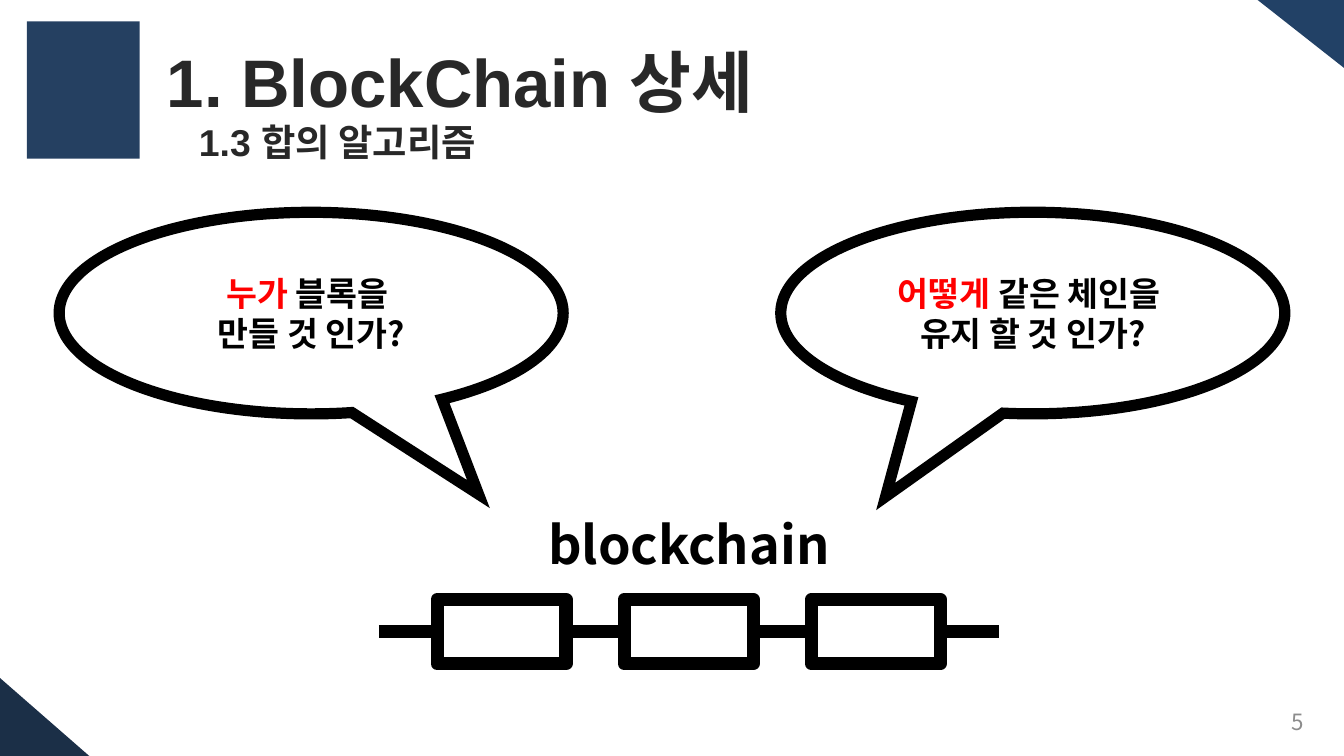
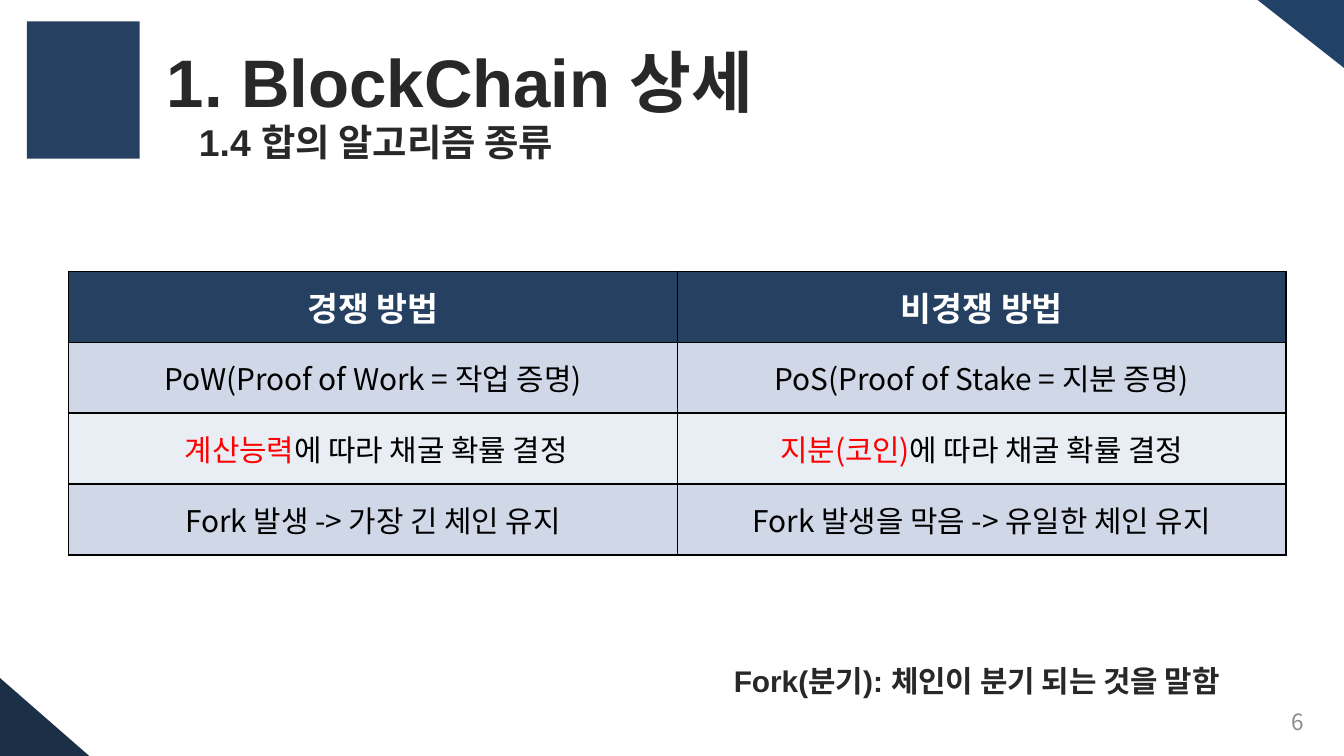
from lxml import etree
from pptx import Presentation
from pptx.dml.color import RGBColor
from pptx.enum.shapes import MSO_CONNECTOR, MSO_SHAPE
from pptx.enum.text import MSO_ANCHOR, MSO_AUTO_SIZE, PP_ALIGN
from pptx.oxml.ns import qn
from pptx.util import Inches, Pt

STRAIGHT = MSO_CONNECTOR.STRAIGHT
RECT, CALLOUT = MSO_SHAPE.RECTANGLE, MSO_SHAPE.OVAL_CALLOUT
MIDDLE, NO_FIT = MSO_ANCHOR.MIDDLE, MSO_AUTO_SIZE.NONE
LEFT, CENTER, RIGHT = PP_ALIGN.LEFT, PP_ALIGN.CENTER, PP_ALIGN.RIGHT

COLS, ROWS = 100, 56.25
CELL = Inches(10) / COLS
SANS, KOREAN = "Arial", "Noto Sans CJK KR"
BLACK, WHITE, RED = "000000", "FFFFFF", "FF0000"
NAVY, INK, GREY = "254061", "282828", "8C8C8C"
BAND_FILLS = ("D0D8E8", "E9EDF4")
HEADING = {"align": LEFT, "spacing": 1.5, "color": INK}
CORNERS = (
    ("17375E", ((92.3, -1), (101.2, -1), (101.2, 6))),
    ("0F243E", ((7.5, 57), (-1.2, 57), (-1.2, 49.4))),
)


def rgb(code):
    return RGBColor.from_string(code)


def emu(*cells):
    return [round(c * CELL) for c in cells]


def assign(obj, values):
    for name, value in values.items():
        setattr(obj, name, value)


def write(tf, paragraphs, size, font=KOREAN, bold=True, color=BLACK,
          align=CENTER, spacing=1.0):
    for i, runs in enumerate(paragraphs):
        p = tf.add_paragraph() if i else tf.paragraphs[0]
        assign(p, {"alignment": align, "line_spacing": spacing,
                   "space_before": Pt(0)})
        for text, run_color in runs:
            r = p.add_run()
            r.text = text
            assign(r.font, {"size": Pt(size), "bold": bold, "name": font})
            r.font.color.rgb = rgb(run_color or color)
            ea = etree.SubElement(r.font._element, qn("a:ea"))
            ea.set("typeface", KOREAN)


def frame(sp, inset=0.1, **margins):
    tf = sp.text_frame
    values = {"word_wrap": True, "auto_size": NO_FIT,
              "vertical_anchor": MIDDLE,
              "margin_left": Inches(inset), "margin_right": Inches(inset)}
    assign(tf, values | margins)
    return tf


def add_text(s, box, text, size, inset=0.1, **fmt):
    sp = s.shapes.add_textbox(*emu(*box))
    write(frame(sp, inset), [[(text, None)]], size, **fmt)


def fill_placeholder(sp, box, text, size, inset=0.1):
    assign(sp, dict(zip(("left", "top", "width", "height"), emu(*box))))
    write(frame(sp, inset), [[(text, None)]], size, font=SANS, **HEADING)


def outline(sp, width, join):
    sp.line.color.rgb = rgb(BLACK)
    sp.line.width = Pt(width)
    mark = etree.SubElement(sp.line._get_or_add_ln(), qn("a:" + join))
    if join == "miter":
        mark.set("lim", "800000")


def add_shape(shapes, kind, box, fill=None):
    sp = shapes.add_shape(kind, *emu(*box))
    sp.shadow.inherit = False
    if fill:
        sp.fill.solid()
        sp.fill.fore_color.rgb = rgb(fill)
        sp.line.fill.background()
    else:
        sp.fill.background()
    return sp


def corners(s):
    for color, points in CORNERS:
        start, *rest = [emu(*point) for point in points]
        builder = s.shapes.build_freeform(*start)
        builder.add_line_segments(rest, close=True)
        sp = builder.convert_to_shape()
        sp.shadow.inherit = False
        sp.line.fill.background()
        sp.fill.solid()
        sp.fill.fore_color.rgb = rgb(color)
        srgb = sp._element.spPr.find(".//" + qn("a:srgbClr"))
        etree.SubElement(srgb, qn("a:alpha")).set("val", "95000")


def header(s, box, subtitle):
    x, y, w, h = box
    add_shape(s.shapes, RECT, (x, y + 0.8, 8.4, h - 0.8), NAVY)
    fill_placeholder(s.shapes.title, (x + 9.4, y, w - 9.4, 7.4),
                     "1. BlockChain 상세", 36)
    fill_placeholder(s.placeholders[1], (x + 10.3, y + 5.2, w - 9.4, 7.4),
                     subtitle, 20, 0.25)


def base_slide(prs, subtitle, number):
    s = prs.slides.add_slide(prs.slide_layouts[0])
    corners(s)
    header(s, (2, 0.8, 89, 11), subtitle)
    add_text(s, (74.7, 52.2, 23.3, 3), number, 12, bold=False,
             color=GREY, align=RIGHT)
    return s


def callout(s, box, tip, paragraphs):
    sp = add_shape(s.shapes, CALLOUT, box)
    sp.adjustments[0], sp.adjustments[1] = tip
    outline(sp, 6, "miter")
    tf = frame(sp, 0.02, margin_top=Inches(0.02), margin_bottom=Inches(0.02))
    write(tf, paragraphs, 18)


def chain(s, box, count=3):
    x, y, w, h = box
    block_w, block_h = 9.6, 4.8
    top = y + h - block_h
    gap = (w - count * block_w) / (count + 1)
    add_text(s, (x + 10.8, y, 24.5, 5.7), "blockchain", 28)
    shapes = s.shapes.add_group_shape().shapes
    blocks = []
    for i in range(count):
        left = x + gap + i * (block_w + gap)
        sp = add_shape(shapes, RECT, (left, top, block_w, block_h))
        outline(sp, 7, "round")
        blocks.append(sp)
    mid = top + block_h / 2
    for i in range(count + 1):
        left = x + i * (block_w + gap)
        link = shapes.add_connector(STRAIGHT, *emu(left, mid, left + gap, mid))
        if i > 0:
            link.begin_connect(blocks[i - 1], 3)
        if i < count:
            link.end_connect(blocks[i], 1)
        outline(link, 7, "round")
        etree.SubElement(link._element.spPr, qn("a:effectLst"))


def border(cell):
    tcPr = cell._tc.get_or_add_tcPr()
    for i, side in enumerate("LRTB"):
        ln = etree.Element(qn("a:ln" + side), w=str(Pt(1)))
        fill = etree.SubElement(ln, qn("a:solidFill"))
        etree.SubElement(fill, qn("a:srgbClr")).set("val", BLACK)
        tcPr.insert(i, ln)


def comparison(s, box, rows):
    table = s.shapes.add_table(len(rows), len(rows[0]), *emu(*box)).table
    for i, row in enumerate(rows):
        for j, runs in enumerate(row):
            cell = table.cell(i, j)
            cell.vertical_anchor = MIDDLE
            cell.fill.solid()
            cell.fill.fore_color.rgb = rgb(BAND_FILLS[(i - 1) % 2] if i else NAVY)
            border(cell)
            write(cell.text_frame, [runs], 16 if i else 18, bold=i == 0,
                  color=BLACK if i else WHITE)


def consensus_slide(prs):
    s = base_slide(prs, "1.3 합의 알고리즘", "5")
    chain(s, (28.2, 37.6, 46.1, 11.8))
    callout(s, (58.1, 15.8, 37.5, 15), (-0.292, 0.91),
            [[("어떻게", RED), (" 같은 체인을 ", None)],
             [("유지 할 것 인가?", None)]])
    callout(s, (4.4, 15.8, 37.5, 15), (0.332, 0.898),
            [[("누가 ", RED), ("블록을 ", None)],
             [("만들 것 인가?", None)]])


def kinds_slide(prs):
    s = base_slide(prs, "1.4 합의 알고리즘 종류", "6")
    rule = ("에 따라 채굴 확률 결정", None)
    comparison(s, (5.1, 20.2, 90.6, 21.1), [
        [[("경쟁 방법", None)], [("비경쟁 방법", None)]],
        [[("PoW(Proof of Work = 작업 증명)", None)],
         [("PoS(Proof of Stake = 지분 증명)", None)]],
        [[(" 계산능력", RED), rule], [("지분(코인)", RED), rule]],
        [[("Fork 발생 -> 가장 긴 체인 유지", None)],
         [("Fork 발생을 막음 -> 유일한 체인 유지", None)]],
    ])
    add_text(s, (52.1, 46.3, 47.9, 7.4),
             "Fork(분기): 체인이 분기 되는 것을 말함", 16, 0.25,
             font=SANS, **HEADING)


def main():
    prs = Presentation()
    prs.slide_width, prs.slide_height = emu(COLS, ROWS)
    consensus_slide(prs)
    kinds_slide(prs)
    prs.save("out.pptx")


if __name__ == "__main__":
    main()
